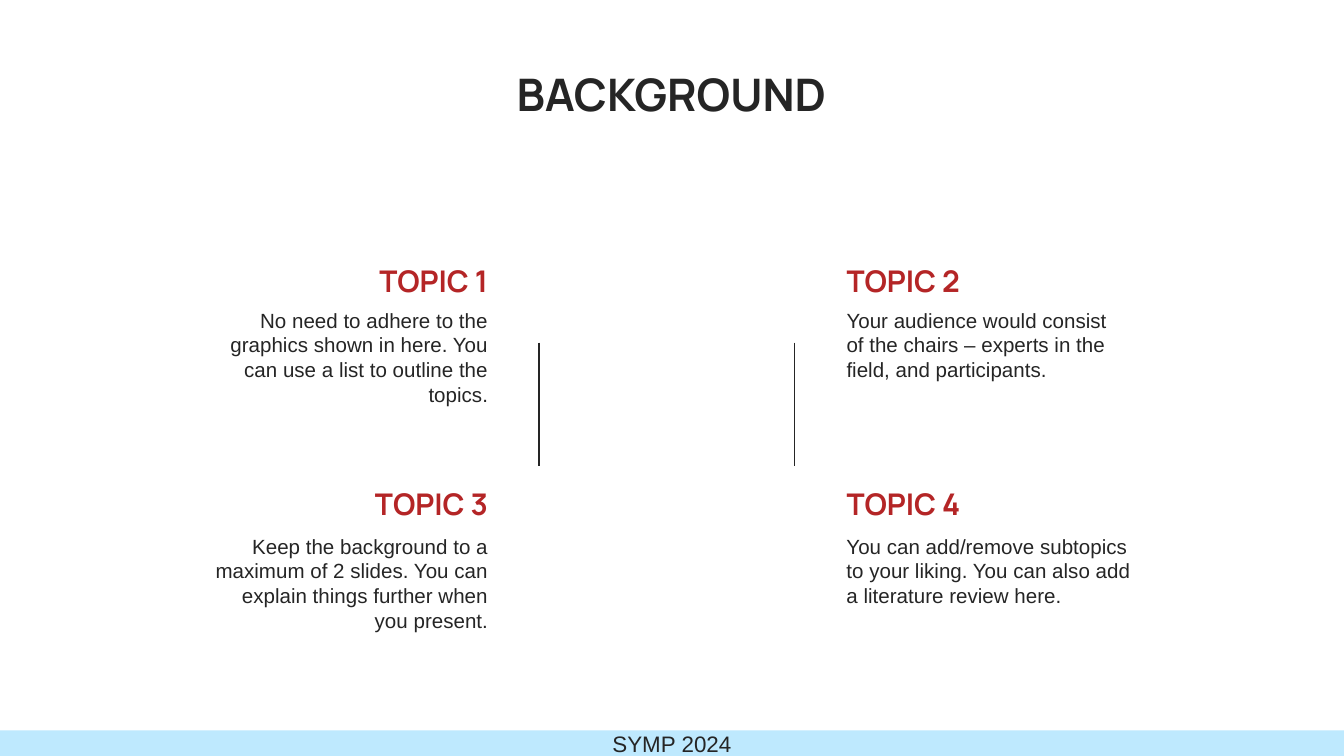
import pptx
import pptx.util
import pptx.dml.color
import pptx.enum.shapes
import pptx.enum.text
import pptx.oxml.ns
import lxml.etree

Inches = pptx.util.Inches
ALIGN = pptx.enum.text.PP_ALIGN
ANCHOR = pptx.enum.text.MSO_ANCHOR

DARK = pptx.dml.color.RGBColor(0x25, 0x25, 0x25)
RED = pptx.dml.color.RGBColor(0xB4, 0x25, 0x26)
SKY = pptx.dml.color.RGBColor(0xBE, 0xE9, 0xFE)


def write(shape, text, font, size, color, bold, align, anchor, inset=0.1):
    """Fill a shape with one formatted paragraph."""
    frame = shape.text_frame
    frame.text = text
    frame.word_wrap = True
    frame.auto_size = pptx.enum.text.MSO_AUTO_SIZE.NONE
    frame.vertical_anchor = anchor
    frame.margin_left = frame.margin_right = Inches(inset)
    frame.margin_top = frame.margin_bottom = Inches(inset)
    paragraph = frame.paragraphs[0]
    paragraph.alignment = align
    paragraph.line_spacing = 1.0
    run = paragraph.runs[0]
    run.font.name = font
    run.font.size = pptx.util.Pt(size)
    run.font.bold = bold
    run.font.color.rgb = color


# Widescreen 16:9 slide
prs = pptx.Presentation()
prs.slide_width = Inches(10)
prs.slide_height = Inches(10) * 9 // 16
slide = prs.slides.add_slide(prs.slide_layouts[5])

# Footer band along the bottom edge
band_height = Inches(0.19)
footer = slide.shapes.add_shape(
    pptx.enum.shapes.MSO_SHAPE.RECTANGLE,
    0, prs.slide_height - band_height, prs.slide_width, band_height)
footer.shadow.inherit = False
footer.fill.solid()
footer.fill.fore_color.rgb = SKY
footer.line.fill.background()
write(footer, "SYMP 2024", "Arial", 12, DARK, False, ALIGN.CENTER, ANCHOR.MIDDLE, 0)

# Title
title = slide.shapes.title
title.left, title.top = Inches(2.38), Inches(0.3)
title.width, title.height = Inches(5.23), Inches(0.7)
write(title, "BACKGROUND", "Manrope", 24, DARK, True, ALIGN.CENTER, ANCHOR.BOTTOM)

# Topics: two columns facing the centre, two rows
left_column_end, right_column_start = 3.73, 6.2
rows = [(1.69, 2.19), (3.35, 3.87)]  # heading top, description top
topics = [  # heading width, description width, description
    (1.81, 2.29, "No need to adhere to the graphics shown in here. "
                 "You can use a list to outline the topics."),
    (1.49, 2.29, "Your audience would consist of the chairs – experts in the field, "
                 "and participants."),
    (1.38, 2.29, "Keep the background to a maximum of 2 slides. "
                 "You can explain things further when you present."),
    (1.49, 2.37, "You can add/remove subtopics to your liking. "
                 "You can also add a literature review here."),
]
for index, (heading_width, body_width, description) in enumerate(topics):
    heading_top, body_top = rows[index // 2]
    if index % 2 == 0:
        align = ALIGN.RIGHT
        heading_left = left_column_end - heading_width
        body_left = left_column_end - body_width
    else:
        align = ALIGN.LEFT
        heading_left = body_left = right_column_start
    heading = slide.shapes.add_textbox(
        Inches(heading_left), Inches(heading_top), Inches(heading_width), Inches(0.63))
    write(heading, f"TOPIC {index + 1}", "Manrope", 16, RED, True, align, ANCHOR.BOTTOM)
    body = slide.shapes.add_textbox(
        Inches(body_left), Inches(body_top), Inches(body_width), Inches(0.69))
    write(body, description, "Arial", 11, DARK, False, align, ANCHOR.TOP)

# Vertical dividers
for x in (4.01, 5.91):
    divider = slide.shapes.add_connector(
        pptx.enum.shapes.MSO_CONNECTOR.STRAIGHT,
        Inches(x), Inches(2.55), Inches(x), Inches(3.47))
    divider.line.color.rgb = DARK
    divider.line.width = pptx.util.Pt(0.75)
    lxml.etree.SubElement(divider._element.spPr, pptx.oxml.ns.qn("a:effectLst"))

prs.save("out.pptx")
